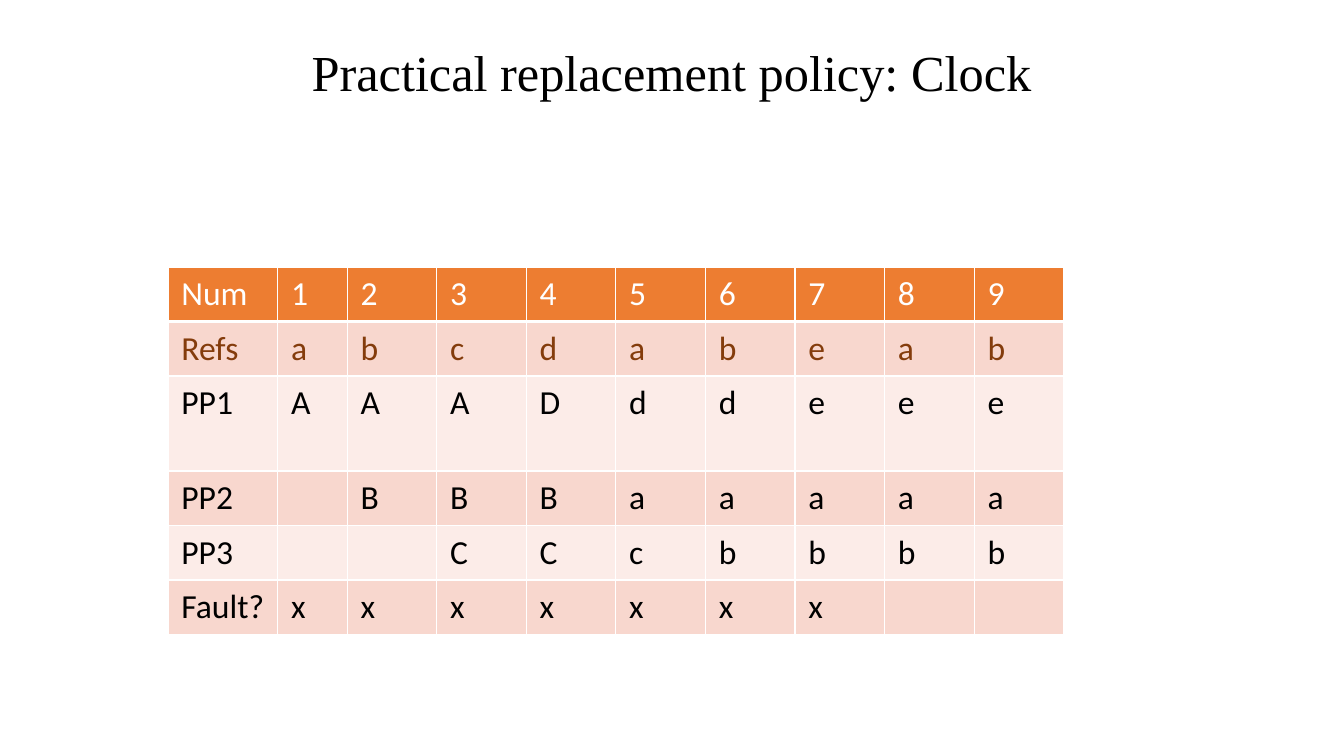
from dataclasses import dataclass

from lxml.etree import SubElement
from pptx import Presentation
from pptx.dml.color import RGBColor
from pptx.enum.text import MSO_ANCHOR, PP_ALIGN
from pptx.oxml.ns import qn
from pptx.slide import Slide
from pptx.table import _Cell
from pptx.text.text import TextFrame
from pptx.util import Pt

WHITE, BLACK, BROWN = "FFFFFF", "000000", "843C0C"
ORANGE, DARK_BAND, LIGHT_BAND = "ED7D31", "F8D7CE", "FCECE8"

COLUMN_WIDTHS = [78.4, 49.6] + [64] * 8
ROW_HEIGHT = 38.9


@dataclass(frozen=True)
class ClockRow:
    """One table row; each character of steps fills one column, a space leaves it empty."""

    label: str
    steps: str
    fill: str
    color: str = BLACK
    height: float = ROW_HEIGHT
    bottom_border: float = 1


CLOCK_ROWS = [
    ClockRow("Num", "123456789", ORANGE, WHITE, bottom_border=3),
    ClockRow("Refs", "abcdabeab", DARK_BAND, BROWN),
    ClockRow("PP1", "AAADddeee", LIGHT_BAND, height=67.9),
    ClockRow("PP2", " BBBaaaaa", DARK_BAND),
    ClockRow("PP3", "  CCcbbbb", LIGHT_BAND),
    ClockRow("Fault?", "xxxxxxx  ", DARK_BAND),
]


def rgb(value: str) -> RGBColor:
    return RGBColor.from_string(value)


def write_text(
    frame: TextFrame,
    text: str,
    *,
    size: float,
    font: str,
    color: str,
    align: PP_ALIGN = PP_ALIGN.LEFT,
    line_spacing: float = 1.0,
) -> None:
    paragraph = frame.paragraphs[0]
    paragraph.alignment = align
    paragraph.line_spacing = line_spacing
    run = paragraph.add_run()
    run.text = text
    run.font.size = Pt(size)
    run.font.name = font
    run.font.color.rgb = rgb(color)


def add_borders(cell: _Cell, top: float, bottom: float) -> None:
    """Draw white borders; call before setting the fill, which must follow them in the XML."""
    properties = cell._tc.get_or_add_tcPr()
    for side, width in {"lnL": 1, "lnR": 1, "lnT": top, "lnB": bottom}.items():
        line = SubElement(properties, qn(f"a:{side}"), w=str(Pt(width)))
        solid = SubElement(line, qn("a:solidFill"))
        SubElement(solid, qn("a:srgbClr"), val=WHITE)


def add_title(slide: Slide, text: str) -> None:
    title = slide.shapes.add_textbox(Pt(66), Pt(17.3), Pt(828), Pt(73.4))
    frame = title.text_frame
    frame.word_wrap = True
    frame.vertical_anchor = MSO_ANCHOR.MIDDLE
    write_text(frame, text, size=36, font="Times New Roman", color=BLACK,
               align=PP_ALIGN.CENTER, line_spacing=0.9)


def add_clock_table(slide: Slide, rows: list[ClockRow]) -> None:
    table = slide.shapes.add_table(
        len(rows), len(COLUMN_WIDTHS), Pt(120), Pt(190.8),
        Pt(sum(COLUMN_WIDTHS)), Pt(sum(row.height for row in rows)),
    ).table
    for column, width in zip(table.columns, COLUMN_WIDTHS):
        column.width = Pt(width)

    border_above = 1.0
    for table_row, row in zip(table.rows, rows):
        table_row.height = Pt(row.height)
        for cell, entry in zip(table_row.cells, [row.label, *row.steps]):
            cell.margin_left = cell.margin_right = Pt(9.6)
            cell.margin_top = cell.margin_bottom = Pt(4.8)
            add_borders(cell, border_above, row.bottom_border)
            cell.fill.solid()
            cell.fill.fore_color.rgb = rgb(row.fill)
            if entry.strip():
                write_text(cell.text_frame, entry, size=24, font="Calibri", color=row.color)
        border_above = row.bottom_border


def main() -> None:
    presentation = Presentation()
    presentation.slide_width, presentation.slide_height = Pt(960), Pt(540)
    slide = presentation.slides.add_slide(presentation.slide_layouts[6])
    add_title(slide, "Practical replacement policy: Clock")
    add_clock_table(slide, CLOCK_ROWS)
    presentation.save("out.pptx")


if __name__ == "__main__":
    main()
